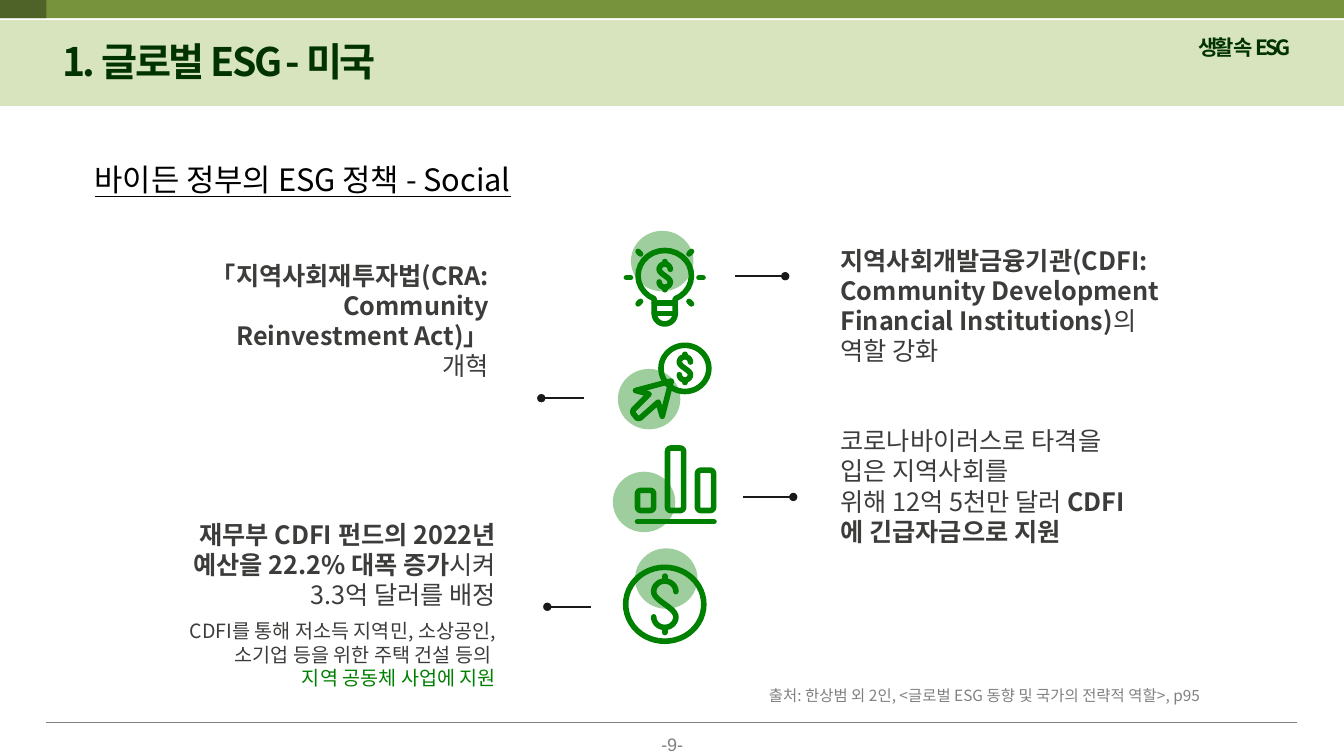
"""Build the slide on United States social policy on a grid of 160 columns by 90 rows."""
import math
from dataclasses import dataclass, field
from typing import NamedTuple

import pptx
import pptx.dml.color
import pptx.enum.shapes
import pptx.enum.text
import pptx.oxml.ns
import pptx.util
from lxml import etree

KIND = pptx.enum.shapes.MSO_SHAPE
ALIGN = pptx.enum.text.PP_ALIGN
ANCHOR = pptx.enum.text.MSO_ANCHOR
WIDE, HIGH = pptx.util.Inches(13.33), pptx.util.Inches(7.5)


@dataclass(frozen=True)
class Theme:
    face: str = "Noto Sans CJK KR"
    plain: str = "Arial"
    pale: str = "D7E4BD"
    olive: str = "77933C"
    moss: str = "4F6228"
    deep: str = "003300"
    green: str = "008000"
    ink: str = "3C3C3B"
    black: str = "000000"
    gray: str = "808080"
    lead: str = "191919"
    title: float = 28
    head: float = 22
    body: float = 18
    tag: float = 15
    note: float = 14
    page: float = 12.9
    cite: float = 11
    stroke: float = 4
    alpha: int = 38000


THEME = Theme()


class Spot(NamedTuple):
    x: float
    y: float


class Area(NamedTuple):
    x: float
    y: float
    w: float
    h: float


class Piece(NamedTuple):
    text: str
    look: dict = {}


@dataclass
class Block:
    area: Area
    paras: list[list[Piece]]
    size: float = THEME.body
    color: str = THEME.ink
    face: str = THEME.face
    look: dict = field(default_factory=dict)
    align: ALIGN = ALIGN.LEFT
    anchor: ANCHOR = ANCHOR.TOP
    pad: float = 0.1
    tight: bool = False


BOLD = {"bold": True}
RIGHT, LOW = ALIGN.RIGHT, ANCHOR.BOTTOM

BANDS = [
    (Area(0, 2.4, 160, 10.2), THEME.pale),
    (Area(0, 0, 160, 2.16), THEME.olive),
    (Area(0, 0, 5.52, 2.16), THEME.moss),
]
TITLE = Block(Area(6.24, 3.84, 49.2, 6.84), [[Piece("1. 글로벌 ESG - 미국")]],
              THEME.title, THEME.deep, look=BOLD, pad=0.05, tight=True)
BLOCKS = [
    Block(Area(74.52, 86.64, 11.04, 4.08), [[Piece("-9-")]], THEME.page, THEME.gray,
          THEME.plain, align=ALIGN.CENTER, pad=0.06),
    Block(Area(141.48, 3.48, 14.16, 4.2), [[Piece("생활 속 ESG")]], THEME.tag, THEME.deep,
          look=BOLD, align=ALIGN.JUSTIFY, pad=0.05, tight=True),
    Block(Area(10.08, 18.6, 57.6, 5.64), [[Piece("바이든 정부의 ESG 정책 - Social")]],
          THEME.head, THEME.black, look={"underline": True}, pad=0.05),
    Block(Area(90.36, 81.12, 55.08, 3.48),
          [[Piece("출처: 한상범 외 2인, <글로벌 ESG 동향 및 국가의 전략적 역할>, p95")]],
          THEME.cite, THEME.gray, pad=0.05),
    Block(Area(98.88, 27.96, 41.52, 18), [[
        Piece("지역사회개발금융기관(CDFI: Community Development Financial Institutions)", BOLD),
        Piece("의 역할 강화")]]),
    Block(Area(22.92, 33.36, 36.48, 13.2), [[
        Piece("「지역사회재투자법(CRA: Community Reinvestment Act)」 ", BOLD),
        Piece("개혁")]], align=RIGHT, anchor=LOW),
    Block(Area(98.88, 48.84, 36.48, 17.4), [
        [Piece("코로나바이러스로 타격을 입은 지역사회를")],
        [Piece("위해 12억 5천만 달러 "), Piece("CDFI에 긴급자금으로 지원", BOLD)]], anchor=LOW),
    Block(Area(15.36, 59.16, 44.88, 14.64), [
        [Piece("재무부 CDFI 펀드의 2022년 예산을 22.2% 대폭 증가", BOLD), Piece("시켜")],
        [Piece("3.3억 달러를 배정")]], align=RIGHT, anchor=LOW),
    Block(Area(15.36, 72.48, 44.88, 10.32), [
        [Piece("CDFI를 통해 저소득 지역민, 소상공인, 소기업 등을 위한 주택 건설 등의 ")],
        [Piece("지역 공동체 사업에 지원", {"color": THEME.green})]], THEME.note, align=RIGHT),
]
DISCS = [Spot(72.96, 56.16), Spot(73.56, 43.92), Spot(75.12, 27.48), Spot(75.6, 65.28)]
LEADS = [
    (Spot(87.48, 32.88), Spot(93.48, 32.88)), (Spot(88.44, 59.16), Spot(94.44, 59.16)),
    (Spot(69.48, 47.4), Spot(64.44, 47.4)), (Spot(70.32, 72.24), Spot(65.16, 72.24)),
]
ARROW = [Spot(79.92, 45.36), Spot(75.66, 46.5), Spot(77.28, 46.92), Spot(75.36, 48.84),
         Spot(75.36, 49.2), Spot(75.84, 49.8), Spot(76.2, 49.8), Spot(78.36, 47.88),
         Spot(78.84, 49.56)]


def col(n: float) -> int:
    return round(WIDE * n / 160)


def row(n: float) -> int:
    return round(HIGH * n / 90)


def place(area: Area) -> tuple[int, int, int, int]:
    return col(area.x), row(area.y), col(area.w), row(area.h)


def rgb(code: str) -> pptx.dml.color.RGBColor:
    return pptx.dml.color.RGBColor.from_string(code)


def add(node: etree.ElementBase, tag: str, **attrs: str) -> None:
    etree.SubElement(node, pptx.oxml.ns.qn(tag), attrs)


def pen(shape, color: str = THEME.green, width: float = THEME.stroke) -> etree.ElementBase:
    shape.line.color.rgb = rgb(color)
    shape.line.width = pptx.util.Pt(width)
    return shape.element.spPr.get_or_add_ln()


def soft(shape) -> None:
    shape.shadow.inherit = False
    shape.fill.background()
    edge = pen(shape)
    edge.set("cap", "rnd")
    add(edge, "a:round")


def solid(shapes, kind: KIND, area: Area, color: str):
    shape = shapes.add_shape(kind, *place(area))
    shape.shadow.inherit = False
    shape.fill.solid()
    shape.fill.fore_color.rgb = rgb(color)
    shape.line.fill.background()
    return shape


def link(shapes, start: Spot, end: Spot, color: str, width: float) -> etree.ElementBase:
    line = shapes.add_connector(pptx.enum.shapes.MSO_CONNECTOR.STRAIGHT,
                                col(start.x), row(start.y), col(end.x), row(end.y))
    edge = pen(line, color, width)
    add(line.element.spPr, "a:effectLst")
    return edge


def trace(shapes, spots: list[Spot], close: bool = False) -> None:
    dots = [(col(x), row(y)) for x, y in spots]
    form = shapes.build_freeform(*dots[0], scale=1)
    form.add_line_segments(dots[1:], close=close)
    soft(form.convert_to_shape())


def arc(mid: Spot, rx: float, ry: float, start: int, end: int) -> list[Spot]:
    turns = [math.radians(start + (end - start) * n / 24) for n in range(25)]
    return [Spot(mid.x + rx * math.cos(t), mid.y + ry * math.sin(t)) for t in turns]


def ring(shapes, mid: Spot, rx: float, ry: float) -> None:
    soft(shapes.add_shape(KIND.OVAL, *place(Area(mid.x - rx, mid.y - ry, 2 * rx, 2 * ry))))


def dollar(shapes, mid: Spot, k: float) -> None:
    x, y = mid
    rx, ry, gap = 1.32 * k, 1.26 * k, 1.5 * k
    bend = [Spot(x - rx * math.cos(math.pi * n / 12), y + gap * (n / 6 - 1)) for n in range(1, 12)]
    trace(shapes, arc(Spot(x, y - gap), rx, ry, 0, -180) + bend
          + arc(Spot(x, y + gap), rx, ry, 0, 180))
    for way in (-1, 1):
        trace(shapes, [Spot(x, y + way * 2.76 * k), Spot(x, y + way * 3.36 * k)])


def bars(shapes) -> None:
    for n, tall in enumerate((2.4, 7.44, 4.8)):
        bar = shapes.add_shape(KIND.ROUNDED_RECTANGLE,
                               *place(Area(75.9 + 3.57 * n, 60.78 - tall, 1.92, tall)))
        bar.adjustments[0] = 0.2
        soft(bar)
    trace(shapes, [Spot(75.9, 62.1), Spot(85, 62.1)])


def bulb(shapes) -> None:
    mid, half, sill = Spot(79.14, 32.82), 1.25, 37.32
    trace(shapes, arc(mid, 3.18, 3, 113, 427)
          + arc(Spot(mid.x, sill), half, half, 0, 180), close=True)
    for y in (36.1, sill):
        trace(shapes, [Spot(mid.x - half, y), Spot(mid.x + half, y)])
    for sx in (-1, 1):
        for sy in (-1, 0, 1):
            near, far = (2.88, 3.18) if sy else (4.08, 4.56)
            trace(shapes, [Spot(mid.x + sx * r, 33.06 + sy * (r - 0.06)) for r in (near, far)])
    dollar(shapes, mid, 0.5)


def write(shape, block: Block) -> None:
    frame = shape.text_frame
    pad, side = pptx.util.Inches(block.pad), pptx.util.Inches(0.1)
    form = {"word_wrap": True, "auto_size": pptx.enum.text.MSO_AUTO_SIZE.NONE,
            "vertical_anchor": block.anchor, "margin_left": side, "margin_right": side,
            "margin_top": pad, "margin_bottom": pad}
    for key, value in form.items():
        setattr(frame, key, value)
    for n, pieces in enumerate(block.paras):
        para = frame.add_paragraph() if n else frame.paragraphs[0]
        para.alignment = block.align
        for piece in pieces:
            run = para.add_run()
            run.text = piece.text
            look = {"size": pptx.util.Pt(block.size), "name": block.face, "bold": False,
                    "color": block.color, **block.look, **piece.look}
            run.font.color.rgb = rgb(look.pop("color"))
            for key, value in look.items():
                setattr(run.font, key, value)
            props = run._r.get_or_add_rPr()
            add(props, "a:ea", typeface=block.face)
            if block.tight:
                props.set("spc", "-190")


def main() -> None:
    deck = pptx.Presentation()
    deck.slide_width, deck.slide_height = WIDE, HIGH
    slide = deck.slides.add_slide(deck.slide_layouts[5])
    shapes = slide.shapes
    for area, color in BANDS:
        solid(shapes, KIND.RECTANGLE, area, color)
    link(shapes, Spot(5.52, 86.04), Spot(154.44, 86.04), THEME.gray, 0.5)
    title = shapes.title
    title.left, title.top, title.width, title.height = place(TITLE.area)
    shapes.element.append(title.element)
    write(title, TITLE)
    for block in BLOCKS:
        write(shapes.add_textbox(*place(block.area)), block)
    bars(shapes)
    bulb(shapes)
    trace(shapes, ARROW, close=True)
    for mid, rx, ry, k in ((Spot(81.54, 43.86), 2.85, 2.75, 0.5),
                           (Spot(79.14, 71.94), 4.65, 4.4, 1)):
        ring(shapes, mid, rx, ry)
        dollar(shapes, mid, k)
    for spot in DISCS:
        disc = solid(shapes, KIND.OVAL, Area(*spot, 7.44, 7.2), THEME.green)
        tint = disc.element.spPr.find(".//" + pptx.oxml.ns.qn("a:srgbClr"))
        add(tint, "a:alpha", val=str(THEME.alpha))
    for start, end in LEADS:
        add(link(shapes, start, end, THEME.lead, 1.5), "a:tailEnd", type="oval")
    deck.save("out.pptx")


if __name__ == "__main__":
    main()
